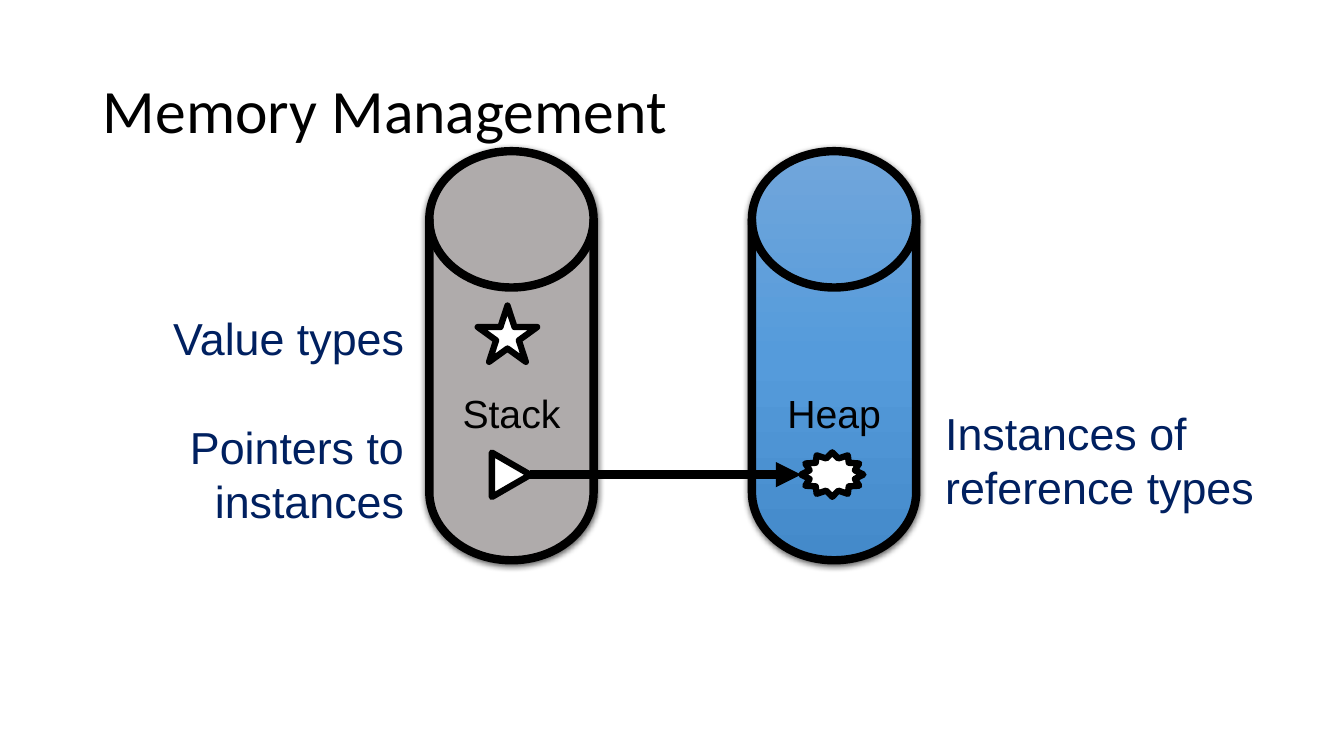
from copy import deepcopy

from pptx import Presentation
from pptx import util as u
from pptx.dml.color import RGBColor
from pptx.enum import shapes, text
from pptx.oxml import parse_xml
from pptx.oxml.ns import nsdecls, qn

BLACK = RGBColor(0x00, 0x00, 0x00)
WHITE = RGBColor(0xFF, 0xFF, 0xFF)
NAVY = RGBColor(0x00, 0x20, 0x60)
GRAY = RGBColor(0xAF, 0xAB, 0xAB)
BLUES = [RGBColor(0x71, 0xA6, 0xDB), RGBColor(0x55, 0x9B, 0xDB), RGBColor(0x44, 0x8A, 0xCA)]

TITLE_BOX = (2.34, 1.02, 29.21, 3.68)
STACK_BOX = (10.82, 3.81, 4.14, 10.31)
HEAP_BOX = (18.95, 3.81, 4.14, 10.31)


def style_text(text_frame, content, size, font_name, color, alignment):
    """Set the text of a frame and format its only paragraph."""
    text_frame.text = content
    paragraph = text_frame.paragraphs[0]
    paragraph.alignment = alignment
    for run in paragraph.runs:
        run.font.size = u.Pt(size)
        run.font.name = font_name
        run.font.color.rgb = color
    return paragraph


def add_title(slide, box, content):
    """Place the title placeholder in its box."""
    title = slide.shapes.title
    title.left, title.top, title.width, title.height = map(u.Cm, box)
    frame = title.text_frame
    frame.vertical_anchor = text.MSO_ANCHOR.MIDDLE
    paragraph = style_text(frame, content, 44, "Calibri", BLACK, text.PP_ALIGN.LEFT)
    paragraph.line_spacing = 0.9


def add_outlined(slide, kind, box, line_width):
    """Add a white shape with a black outline and no shadow."""
    shape = slide.shapes.add_shape(kind, *map(u.Cm, box))
    shape.shadow.inherit = False
    shape.fill.solid()
    shape.fill.fore_color.rgb = WHITE
    shape.line.color.rgb = BLACK
    shape.line.width = u.Pt(line_width)
    return shape


def fill_gradient(shape, colors):
    """Fill a shape from top to bottom with evenly spaced colours."""
    shape.fill.gradient()
    shape.fill.gradient_angle = 270
    stop_list = shape._element.spPr.find(".//" + qn("a:gsLst"))
    while len(stop_list) < len(colors):
        stop_list.append(deepcopy(stop_list[-1]))
    for index, (stop, color) in enumerate(zip(shape.fill.gradient_stops, colors)):
        stop.position = index / (len(colors) - 1)
        stop.color.rgb = color


def add_memory_area(slide, box, label, colors):
    """Draw a labelled cylinder with a soft shadow."""
    cylinder = add_outlined(slide, shapes.MSO_SHAPE.FLOWCHART_MAGNETIC_DISK, box, 6)
    if len(colors) > 1:
        fill_gradient(cylinder, colors)
    else:
        cylinder.fill.fore_color.rgb = colors[0]
    cylinder._element.spPr.find(qn("a:effectLst")).append(parse_xml(
        f'<a:outerShdw {nsdecls("a")} blurRad="{u.Pt(4.5)}" dist="{u.Pt(1.5)}" '
        'dir="5400000" rotWithShape="0"><a:srgbClr val="000000">'
        '<a:alpha val="63000"/></a:srgbClr></a:outerShdw>'))
    frame = cylinder.text_frame
    frame.word_wrap = False
    frame.margin_top = u.Cm(1.27)
    frame.vertical_anchor = text.MSO_ANCHOR.MIDDLE
    style_text(frame, label, 28, "Arial", BLACK, text.PP_ALIGN.CENTER)


def add_contents(slide, stack_box, heap_box):
    """Draw the value, the pointer and the instance it points to."""
    stack_left, top = stack_box[:2]
    heap_left = heap_box[0]
    middle = top + 8.15
    pointer = add_outlined(slide, shapes.MSO_SHAPE.ISOSCELES_TRIANGLE,
                           (stack_left + 1.5, middle - 0.48, 1.12, 0.97), 4.5)
    pointer.rotation = 90
    add_outlined(slide, shapes.MSO_SHAPE.STAR_12_POINT,
                 (heap_left + 1.24, middle - 0.56, 1.57, 1.12), 4.5)
    arrow = slide.shapes.add_connector(
        shapes.MSO_CONNECTOR.STRAIGHT, u.Cm(stack_left + 2.54), u.Cm(middle),
        u.Cm(heap_left + 1.24), u.Cm(middle))
    arrow.line.color.rgb = BLACK
    arrow.line.width = u.Pt(6)
    arrow.line._get_or_add_ln().append(
        parse_xml(f'<a:tailEnd {nsdecls("a")} type="triangle"/>'))
    arrow._element.spPr.append(parse_xml(f'<a:effectLst {nsdecls("a")}/>'))
    add_outlined(slide, shapes.MSO_SHAPE.STAR_5_POINT,
                 (stack_left + 1.22, top + 3.89, 1.5, 1.42), 4.5)


def add_caption(slide, box, content, alignment, wrap=False):
    """Add a navy caption beside a memory area."""
    frame = slide.shapes.add_textbox(*map(u.Cm, box)).text_frame
    frame.word_wrap = wrap
    frame.auto_size = text.MSO_AUTO_SIZE.SHAPE_TO_FIT_TEXT
    style_text(frame, content, 32, "Arial", NAVY, alignment)


def build_memory_slide(presentation):
    """Build the slide on stack and heap memory."""
    slide = presentation.slides.add_slide(presentation.slide_layouts[5])
    add_title(slide, TITLE_BOX, "Memory Management")
    add_memory_area(slide, STACK_BOX, "Stack", [GRAY])
    add_memory_area(slide, HEAP_BOX, "Heap", BLUES)
    add_contents(slide, STACK_BOX, HEAP_BOX)
    right, left = text.PP_ALIGN.RIGHT, text.PP_ALIGN.LEFT
    add_caption(slide, (4.06, 7.7, 6.38, 1.63), "Value types", right)
    add_caption(slide, (4.5, 10.46, 5.94, 3), "Pointers to\vinstances", right)
    add_caption(slide, (23.57, 10.11, 8.59, 3), "Instances of reference types", left, True)


def main():
    """Create and save the presentation."""
    presentation = Presentation()
    presentation.slide_width = u.Cm(33.87)
    presentation.slide_height = u.Cm(19.05)
    build_memory_slide(presentation)
    presentation.save("out.pptx")


if __name__ == "__main__":
    main()
